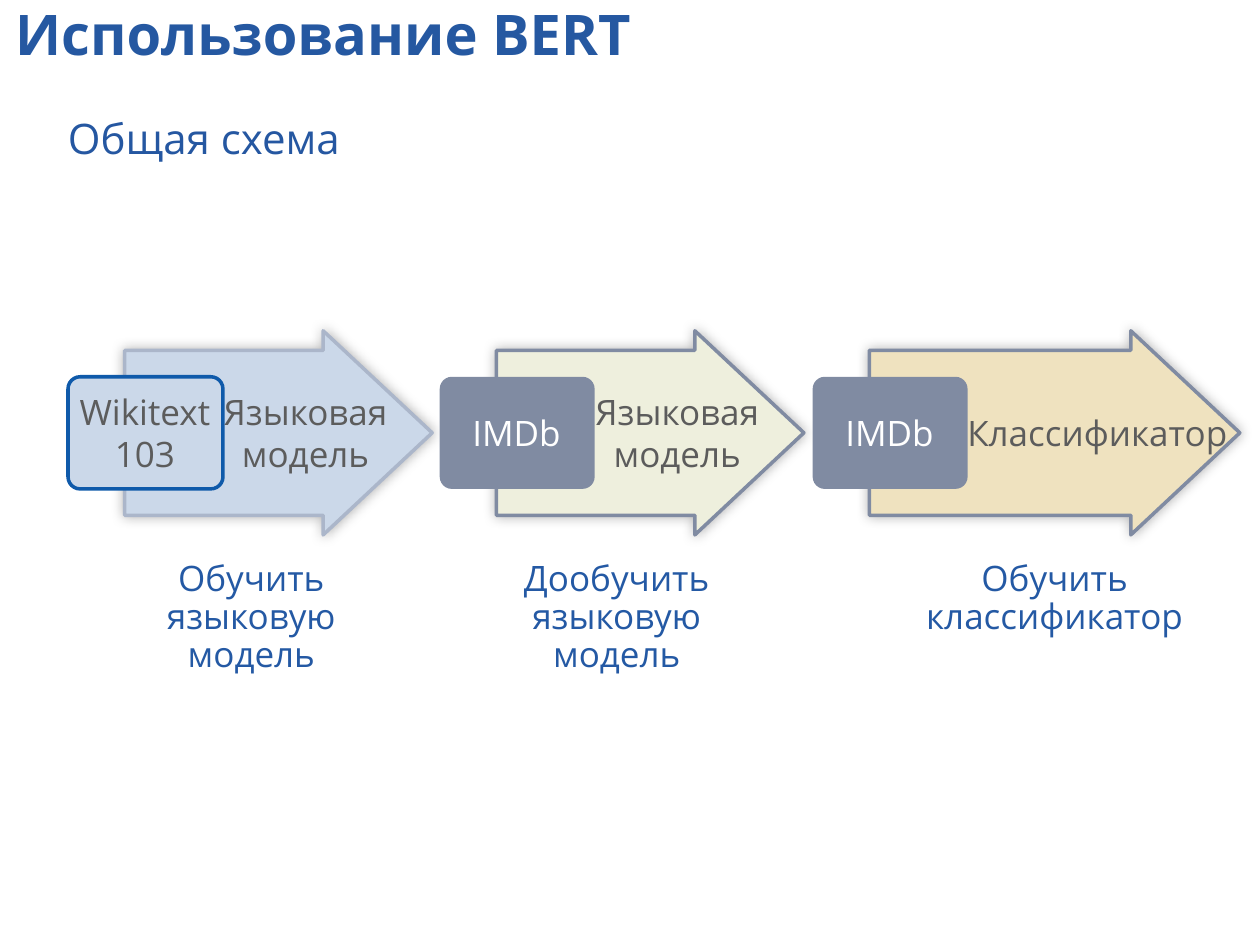
from dataclasses import dataclass

from lxml.etree import SubElement
from pptx import Presentation
from pptx.dml.color import RGBColor
from pptx.enum.shapes import MSO_SHAPE as Shape
from pptx.enum.text import MSO_ANCHOR as Anchor, MSO_AUTO_SIZE as AutoSize, PP_ALIGN as Align
from pptx.oxml.ns import qn
from pptx.util import Inches, Pt

FONT = "Open Sans"
COLORS = {
    "title": "2558A1", "subtitle": "2557A1", "caption": "2459A4",
    "text": "5C5C5C", "white": "FFFFFF", "slate": "808BA2",
    "blue": "CBD8E9", "blue_edge": "ABB6CA", "blue_frame": "0F5AAA",
    "green": "EEEFDD", "sand": "EFE2BF",
}
MIDDLE = 3.435  # common axis of arrows, data boxes and their labels


@dataclass
class Stage:
    left: float
    arrow_width: float
    arrow_fill: str
    arrow_edge: str
    data: str
    data_height: float
    data_fill: str
    data_edge: str
    data_color: str
    model: str
    model_left: float
    model_width: float
    model_height: float
    caption: str
    caption_left: float
    caption_width: float
    caption_height: float


STAGES = [
    Stage(0.54, 2.44, "blue", "blue_edge", "Wikitext 103", 0.73, "blue", "blue_frame", "text",
          "Языковая модель", 1.67, 1.51, 0.73,
          "Обучить языковую модель", 1.21, 1.57, 0.97),
    Stage(3.49, 2.44, "green", "slate", "IMDb", 0.39, "slate", "", "white",
          "Языковая модель", 4.62, 1.51, 0.73,
          "Дообучить языковую модель", 4.11, 1.57, 0.97),
    Stage(6.45, 2.94, "sand", "slate", "IMDb", 0.39, "slate", "", "white",
          "Классификатор", 7.63, 2.16, 0.39,
          "Обучить классификатор", 7.3, 2.14, 0.67),
]


def rgb(name: str) -> RGBColor:
    return RGBColor.from_string(COLORS[name])


def write(box, text: str, size: int, color: str, align: Align, anchor: Anchor,
          inset: float = 0.03, spacing: float = 1.0, bold: bool = False) -> None:
    frame = box.text_frame
    frame.word_wrap = True
    frame.vertical_anchor = anchor
    frame.margin_left = frame.margin_right = Inches(inset)
    frame.margin_top = frame.margin_bottom = Inches(inset)
    para = frame.paragraphs[0]
    para.text = text
    para.alignment = align
    para.line_spacing = spacing
    para.font.name = FONT
    para.font.size = Pt(size)
    para.font.bold = bold
    para.font.color.rgb = rgb(color)


def add_label(page, left: float, top: float, width: float, height: float, text: str,
              color: str, spacing: float = 1.0) -> None:
    box = page.shapes.add_textbox(Inches(left), Inches(top), Inches(width), Inches(height))
    write(box, text, 20, color, Align.CENTER, Anchor.MIDDLE, spacing=spacing)


def add_block(page, kind: Shape, left: float, width: float, height: float,
              adjustments: list[float], fill: str, edge: str):
    """Add a filled shape centred on the diagram axis; an empty edge means no outline."""
    block = page.shapes.add_shape(kind, Inches(left), Inches(MIDDLE - height / 2),
                                  Inches(width), Inches(height))
    block.shadow.inherit = False
    for index, value in enumerate(adjustments):
        block.adjustments[index] = value
    block.fill.solid()
    block.fill.fore_color.rgb = rgb(fill)
    if edge:
        block.line.color.rgb = rgb(edge)
        block.line.width = Pt(2)
    else:
        block.line.fill.background()
    return block


def add_glow_shadow(block) -> None:
    """Add a soft black shadow with no offset."""
    effects = block._element.spPr.find(qn("a:effectLst"))
    shadow = SubElement(effects, qn("a:outerShdw"), blurRad=str(Pt(7)), dist="0", dir="0",
                        algn="ctr", rotWithShape="0")
    black = SubElement(shadow, qn("a:srgbClr"), val="000000")
    SubElement(black, qn("a:alpha"), val="30000")


def add_stage(page, stage: Stage) -> None:
    arrow = add_block(page, Shape.RIGHT_ARROW, stage.left + 0.45, stage.arrow_width, 1.62,
                      [0.808, 0.534], stage.arrow_fill, stage.arrow_edge)
    add_glow_shadow(arrow)
    add_block(page, Shape.ROUNDED_RECTANGLE, stage.left, 1.23, 0.89, [0.108],
              stage.data_fill, stage.data_edge)
    add_label(page, stage.left - 0.08, MIDDLE - stage.data_height / 2, 1.38, stage.data_height,
              stage.data, stage.data_color)
    add_label(page, stage.model_left, MIDDLE - stage.model_height / 2, stage.model_width,
              stage.model_height, stage.model, "text")
    add_label(page, stage.caption_left, 4.42, stage.caption_width, stage.caption_height,
              stage.caption, "caption", spacing=0.9)


def main() -> None:
    deck = Presentation()
    deck.slide_width, deck.slide_height = Inches(10), Inches(7.5)
    page = deck.slides.add_slide(deck.slide_layouts.get_by_name("Title Only"))

    title = page.shapes.title
    title.left, title.top = Inches(-0.01), Inches(0.01)
    title.width, title.height = Inches(9.98), Inches(0.6)
    title.text_frame.auto_size = AutoSize.NONE
    write(title, "Использование BERT", 32, "title", Align.LEFT, Anchor.TOP,
          inset=0.05, spacing=0.9, bold=True)
    # The first line starts slightly inside the text box.
    title.text_frame.paragraphs[0]._p.get_or_add_pPr().set("indent", str(Inches(0.08)))

    subtitle = page.shapes.add_textbox(Inches(0.51), Inches(0.86), Inches(2.97), Inches(0.46))
    write(subtitle, "Общая схема", 24, "subtitle", Align.LEFT, Anchor.TOP)

    for stage in STAGES:
        add_stage(page, stage)
    deck.save("out.pptx")


if __name__ == "__main__":
    main()
